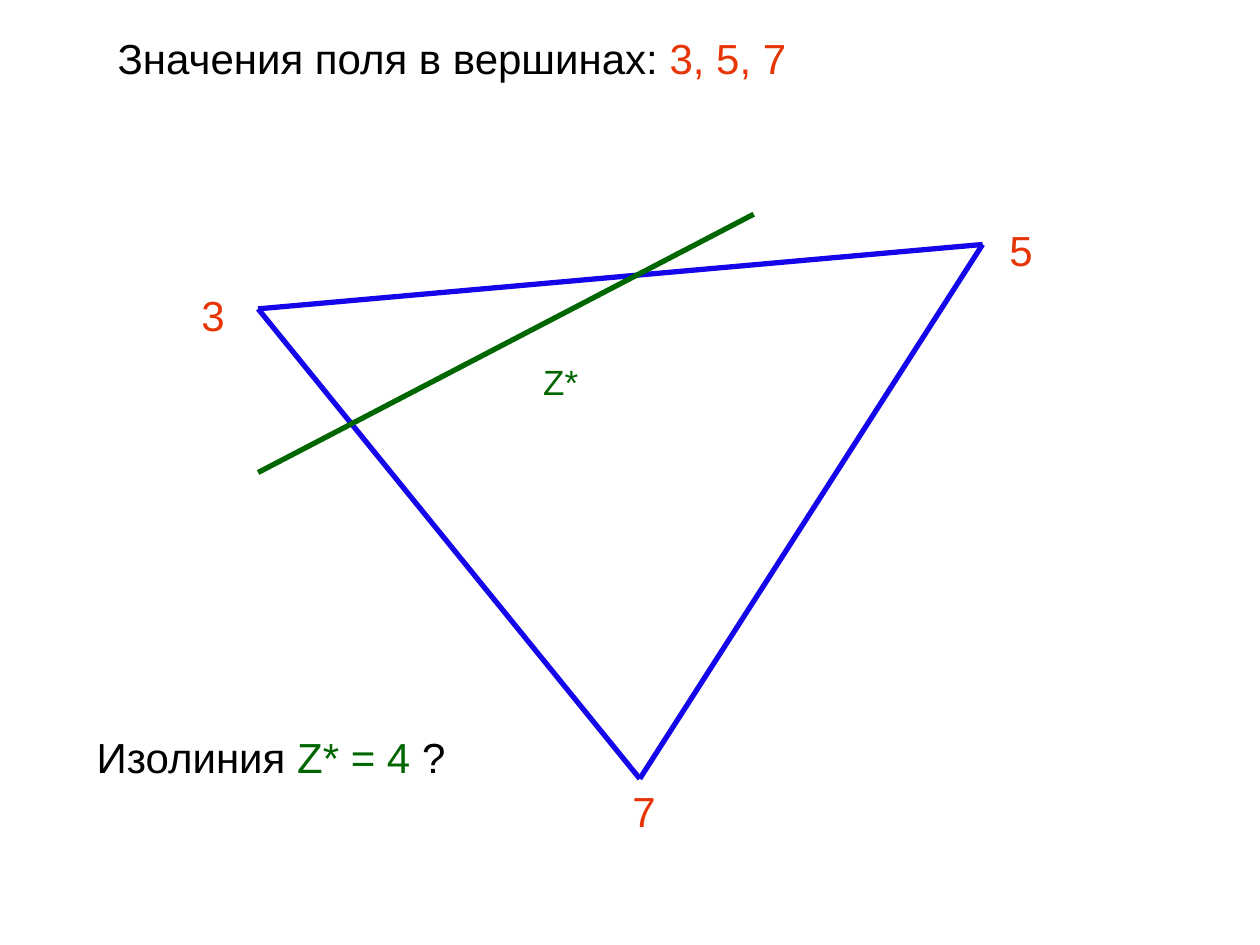
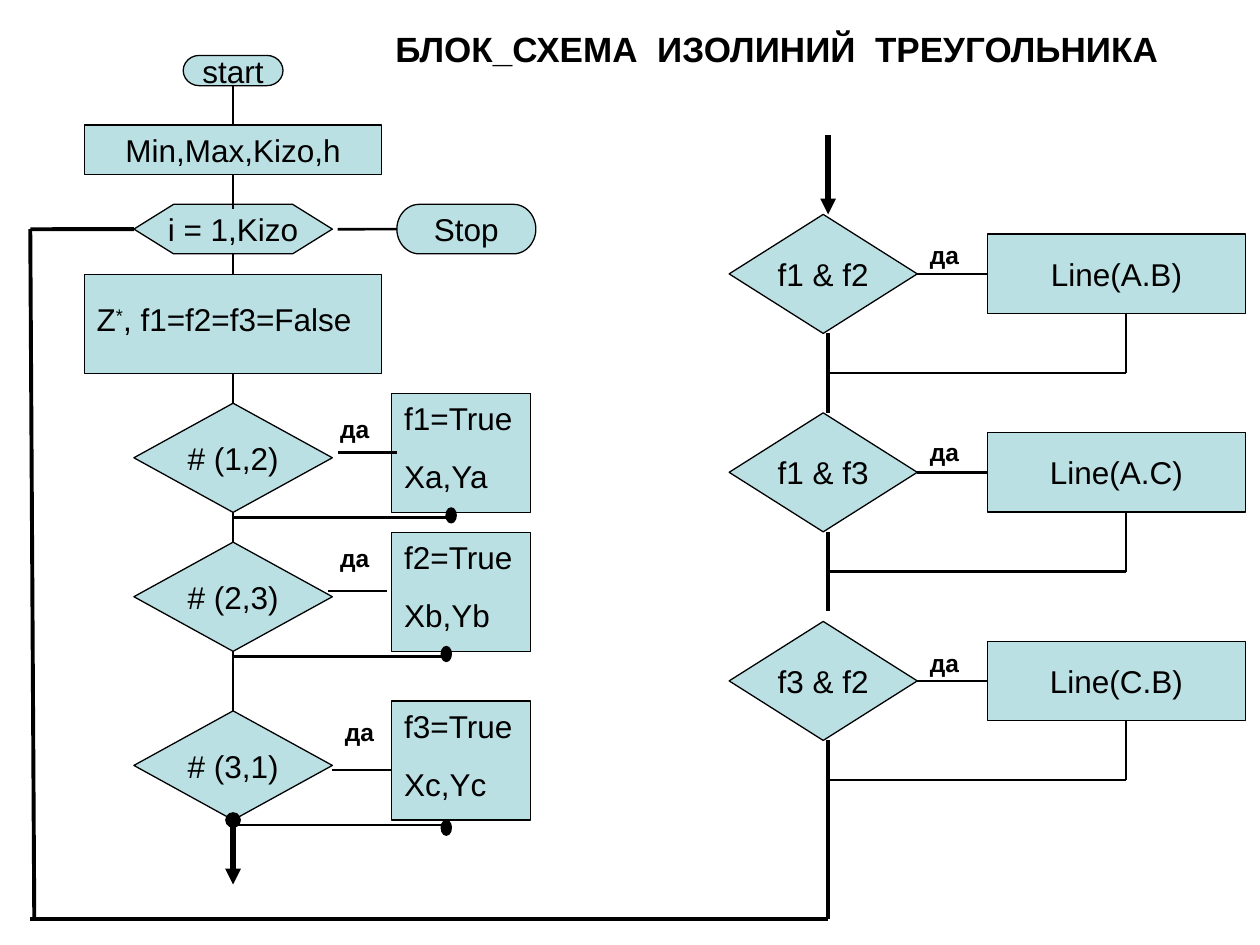
"""Builds two slides: a contour line in a triangle and its flowchart."""
from dataclasses import dataclass

from lxml import etree
from pptx import Presentation
from pptx import util as u
from pptx.dml.color import RGBColor
from pptx.enum import shapes, text
from pptx.oxml import ns

Pt = u.Pt
KIND = shapes.MSO_SHAPE
ALIGN = text.PP_ALIGN
TOP, LEFT, BOTTOM, RIGHT = range(4)


@dataclass(frozen=True)
class Theme:
    font: str = "Arial"
    ink: str = "000000"
    block: str = "BBE0E3"
    edge: str = "1505EB"
    vertex: str = "E73505"
    contour: str = "006600"
    heading: int = 24
    title: int = 20
    body: int = 18
    small: int = 14
    outline: float = 0.75
    thin: float = 1.5
    medium: float = 2.25
    thick: float = 3


def apply(target, values):
    for name, value in values.items():
        setattr(target, name, value)


class Deck:
    def __init__(self, theme):
        self.theme = theme
        self.deck = Presentation()
        apply(self.deck, {"slide_width": Pt(720), "slide_height": Pt(540)})
        self.slide = None

    def new_slide(self):
        self.slide = self.deck.slides.add_slide(self.deck.slide_layouts[5])

    def set_text(self, frame, paragraphs, size, bold=False, align=ALIGN.LEFT, before=0):
        for index, pieces in enumerate(paragraphs):
            line = frame.add_paragraph() if index else frame.paragraphs[0]
            apply(line, {"alignment": align, "space_before": Pt(before)})
            for words, color, *baseline in pieces:
                run = line.add_run()
                run.text = words
                apply(run.font, {"name": self.theme.font, "size": Pt(size), "bold": bold})
                run.font.color.rgb = RGBColor.from_string(color)
                if baseline:
                    run.font._element.set("baseline", str(baseline[0] * 1000))

    def fill_box(self, box, paragraphs, size, **style):
        apply(box.text_frame, {
            "word_wrap": True,
            "auto_size": text.MSO_AUTO_SIZE.SHAPE_TO_FIT_TEXT,
            "vertical_anchor": text.MSO_ANCHOR.TOP,
        })
        self.set_text(box.text_frame, paragraphs, size, before=size * 0.625, **style)

    def title(self, place, pieces, size, **style):
        heading = self.slide.shapes.title
        apply(heading, dict(zip(("left", "top", "width", "height"), map(Pt, place))))
        self.fill_box(heading, [pieces], size, **style)

    def label(self, place, paragraphs, size, **style):
        box = self.slide.shapes.add_textbox(*map(Pt, place))
        self.fill_box(box, paragraphs, size, **style)

    def block(self, kind, place, words="", fill=None):
        shape = self.slide.shapes.add_shape(kind, *map(Pt, place))
        shape.shadow.inherit = False
        shape.fill.solid()
        shape.fill.fore_color.rgb = RGBColor.from_string(fill or self.theme.block)
        shape.line.color.rgb = RGBColor.from_string(self.theme.ink)
        shape.line.width = Pt(self.theme.outline)
        if words:
            apply(shape.text_frame, {"word_wrap": False, "vertical_anchor": text.MSO_ANCHOR.MIDDLE})
            self.set_text(shape.text_frame, [[(words, self.theme.ink)]], self.theme.body,
                          align=ALIGN.CENTER)
        return shape

    def line(self, start, end, width=None, color=None, head=None, tail=None):
        points = [(0, 0) if hasattr(spot[0], "shape_id") else spot for spot in (start, end)]
        link = self.slide.shapes.add_connector(
            shapes.MSO_CONNECTOR.STRAIGHT, *(Pt(v) for point in points for v in point))
        for spot, connect in ((start, link.begin_connect), (end, link.end_connect)):
            if hasattr(spot[0], "shape_id"):
                connect(*spot)
        link.line.color.rgb = RGBColor.from_string(color or self.theme.ink)
        link.line.width = Pt(width or self.theme.thin)
        for tag, form in (("a:headEnd", head), ("a:tailEnd", tail)):
            if form:
                etree.SubElement(link.line._get_or_add_ln(), ns.qn(tag), type=form)
        etree.SubElement(link._element.spPr, ns.qn("a:effectLst"))


def triangle_slide(deck):
    t = deck.theme
    deck.new_slide()
    deck.title((60, 15, 533, 36),
               [("Значения поля в вершинах: ", t.ink), ("3, 5, 7", t.vertex)], t.heading)
    west, east, south = (147.5, 176.5), (561.5, 139.7), (365.6, 445)
    for start, end in ((west, south), (west, east), (east, south)):
        deck.line(start, end, t.thick, t.edge)
    for value, x, y in (("3", 108, 162), ("5", 569.7, 125), ("7", 354.3, 445.5)):
        deck.label((x, y, 28, 36), [[(value, t.vertex)]], t.heading)
    deck.label((48.2, 414.7, 244, 36),
               [[("Изолиния ", t.ink), ("Z* = 4 ", t.contour), ("?", t.ink)]], t.heading)
    deck.line((147.5, 270), (430.7, 122.4), t.thick, t.contour)
    deck.label((303.3, 202.3, 51, 32), [[("Z*", t.contour)]], t.title)


def yes_label(deck, x, y):
    deck.label((x, y, 39.6, 24.5), [[("да", deck.theme.ink)]], deck.theme.small, bold=True)


def setup_column(deck, axis):
    t = deck.theme

    def centred(kind, top, width, height, words=""):
        return deck.block(kind, (axis - width / 2, top, width, height), words)

    start = centred(KIND.FLOWCHART_TERMINATOR, 31.7, 57, 17.3, "start")
    inputs = centred(KIND.FLOWCHART_PROCESS, 71.5, 170, 28.3, "Min,Max,Kizo,h")
    loop = centred(KIND.FLOWCHART_PREPARATION, 116.8, 113.4, 28.3, "i = 1,Kizo")
    reset = centred(KIND.FLOWCHART_PROCESS, 156.8, 170, 56.7)
    deck.label((48.2, 168, 170, 29),
               [[("Z", t.ink), ("*", t.ink, 30), (", f1=f2=f3=False", t.ink)]], t.body)
    stop = deck.block(KIND.FLOWCHART_TERMINATOR, (226.8, 116.8, 79.4, 28.3), "Stop")

    deck.line((start, BOTTOM), (inputs, TOP))
    deck.line((inputs, BOTTOM), (axis, 119.5))
    deck.line((loop, BOTTOM), (reset, TOP))
    deck.line((193, 131), (stop, LEFT))
    return loop, reset


def crossing_column(deck, axis, previous):
    t = deck.theme
    crossings = (
        ("# (1,2)", "f1=True", "Xa,Ya", 230.4, (187.2, 233.3), (193, 258.5), (257.8, 294.5)),
        ("# (2,3)", "f2=True", "Xb,Yb", 309.8, (187.2, 306.7), (187.2, 337.8), (255, 373.7)),
        ("# (3,1)", "f3=True", "Xc,Yc", 406.2, (190, 406), (190, 440), (255, 473)),
    )
    for test, flag, point, top, yes, branch, dot in crossings:
        decision = deck.block(KIND.FLOWCHART_DECISION, (axis - 56.7, top, 113.4, 62.4), test)
        deck.block(KIND.FLOWCHART_PROCESS, (223.9, top - 5.7, 79.4, 68))
        deck.label((223.9, top - 5.7, 79.4, 62), [[(flag, t.ink)], [(point, t.ink)]], t.body)
        deck.line((previous, BOTTOM), (decision, TOP))
        yes_label(deck, *yes)
        deck.line(branch, (branch[0] + 33.9, branch[1]))
        deck.line((257.8, top + 65.2), (axis, top + 65.2))
        deck.block(KIND.OVAL, (dot[0] - 2.9, dot[1] - 4.3, 5.8, 8.6), fill=t.ink)
        previous = decision
    deck.line((previous, BOTTOM), (axis, 505.4), t.thick, head="oval", tail="triangle")


def drawing_column(deck, axis, loop):
    t = deck.theme
    deck.line((axis, 77), (axis, 122.5), t.thick, tail="triangle")
    segments = (
        ("f1 & f2", "Line(A.B)", 122.5, 133.7),
        ("f1 & f3", "Line(A.C)", 235.9, 246),
        ("f3 & f2", "Line(C.B)", 355.1, 366.6),
    )
    for test, action, top, yes_top in segments:
        decision = deck.block(KIND.FLOWCHART_DECISION, (416.7, top, 107.5, 68), test)
        drawing = deck.block(KIND.FLOWCHART_PROCESS, (564.2, top + 11.3, 147.5, 45.4), action)
        merge = top + 90.7
        deck.line((decision, RIGHT), (drawing, LEFT))
        deck.line((axis, top + 68), (axis, top + 113.4), t.medium)
        deck.line((643.5, top + 56.7), (643.5, merge))
        deck.line((axis, merge), (643.5, merge))
        yes_label(deck, 524.2, yes_top)

    floor = 525
    deck.line((axis, 466), (axis, floor), t.medium)
    deck.line((axis, floor), (17.3, floor), t.medium)
    deck.line((loop, LEFT), (17.3, 131), t.medium)
    deck.line((17.3, 131), (19.6, floor), t.medium)


def flowchart_slide(deck):
    t = deck.theme
    deck.new_slide()
    deck.title((187.2, 12.2, 513.4, 32), [("БЛОК_СХЕМА  ИЗОЛИНИЙ  ТРЕУГОЛЬНИКА", t.ink)],
               t.title, bold=True, align=ALIGN.CENTER)
    loop, reset = setup_column(deck, 133.2)
    crossing_column(deck, 133.2, reset)
    drawing_column(deck, 473.2, loop)


def main():
    deck = Deck(Theme())
    triangle_slide(deck)
    flowchart_slide(deck)
    deck.deck.save("out.pptx")


if __name__ == "__main__":
    main()
